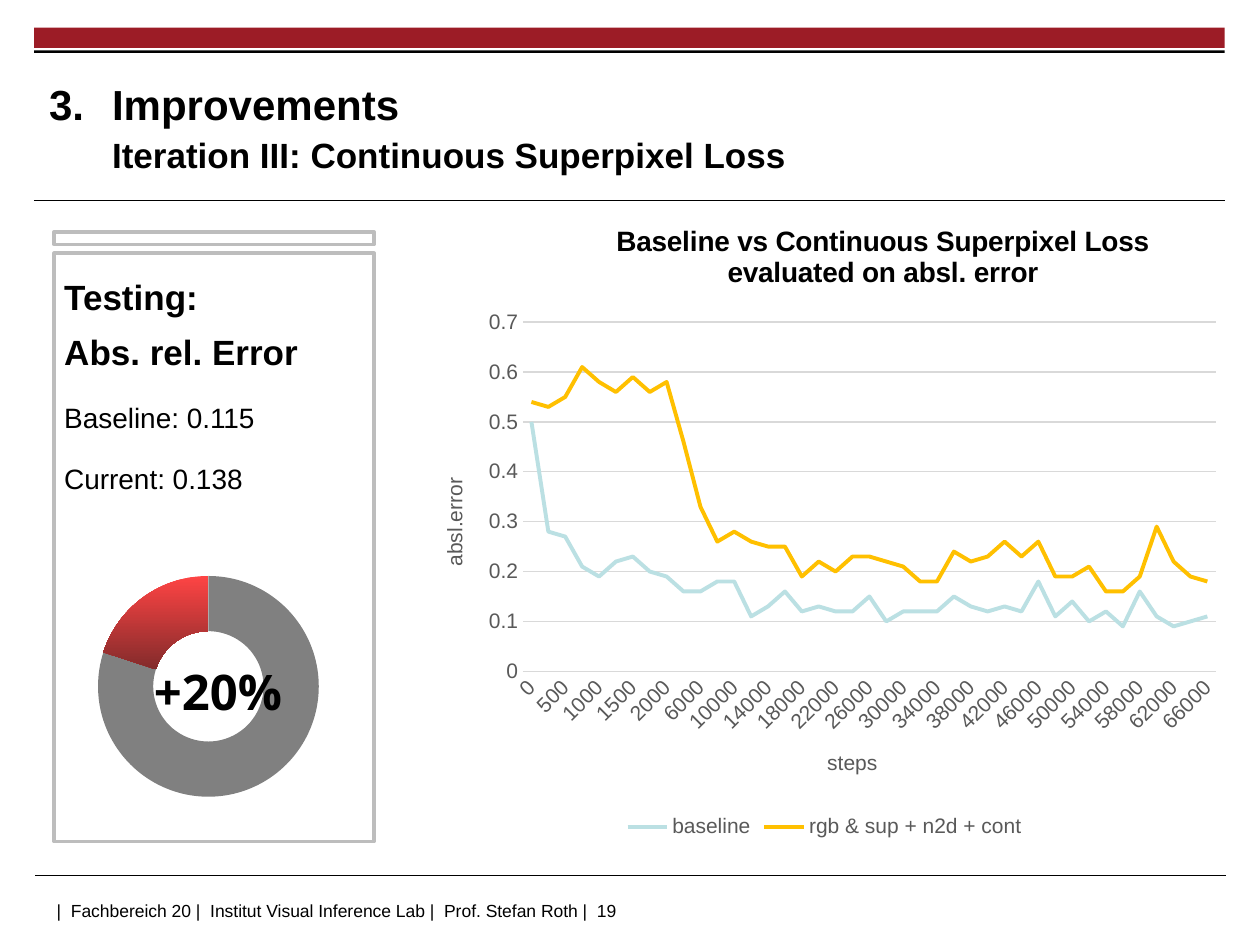
from lxml import etree
from pptx import Presentation
from pptx import util as u
from pptx.chart.data import CategoryChartData
from pptx.dml.color import RGBColor
from pptx.enum import chart as ch, shapes, text
from pptx.oxml import parse_xml
from pptx.oxml.ns import nsdecls, qn

Inches, Pt = u.Inches, u.Pt
hues = {"red": "9C1C26", "black": "000000", "white": "FFFFFF", "frame": "BDBDBD",
        "ring": "808080", "hot": "FE4444", "dark": "832B2B", "label": "595959",
        "grid": "D9D9D9", "base": "BBE0E3", "cont": "FFC000"}
rgb = {name: RGBColor.from_string(code) for name, code in hues.items()}

deck = Presentation()
deck.slide_width, deck.slide_height = Inches(10), Inches(7.5)
slide = deck.slides.add_slide(deck.slide_layouts[6])


def style(font, size, hue="black", bold=False, face="Arial"):
    font.name, font.size, font.bold = face, Pt(size), bold
    font.color.rgb = rgb[hue]


def place(x, y, w=None, h=None):
    size = f'<c:w val="{w}"/><c:h val="{h}"/>' if w else ""
    inner = '<c:layoutTarget val="inner"/>' if w else ""
    return parse_xml(
        f'<c:layout {nsdecls("c")}><c:manualLayout>{inner}<c:xMode val="edge"/>'
        f'<c:yMode val="edge"/><c:x val="{x}"/><c:y val="{y}"/>{size}'
        '</c:manualLayout></c:layout>')


for x, y, w, h, fill, edge in [
        (0.27, 0.22, 9.45, 0.16, "red", None),
        (0.27, 0.4, 9.45, 0.02, "black", None),
        (0.43, 2.01, 2.54, 4.67, "white", "frame"),
        (0.43, 1.84, 2.54, 0.1, "white", "frame")]:
    bar = slide.shapes.add_shape(shapes.MSO_SHAPE.RECTANGLE,
                                 Inches(x), Inches(y), Inches(w), Inches(h))
    bar.shadow.inherit = False
    bar.fill.solid()
    bar.fill.fore_color.rgb = rgb[fill]
    if edge:
        bar.line.color.rgb = rgb[edge]
        bar.line.width = Pt(2)
    else:
        bar.line.fill.background()

for x, y in [(0.27, 1.59), (0.28, 6.95)]:
    rule = slide.shapes.add_connector(shapes.MSO_CONNECTOR.STRAIGHT,
                                      Inches(x), Inches(y), Inches(x + 9.45), Inches(y))
    rule.line.color.rgb = rgb["black"]
    rule.line.width = Pt(0.6)
    etree.SubElement(rule._element.spPr, qn("a:effectLst"))

data = CategoryChartData()
data.categories = ["1", "2"]
data.add_series("Series 1", [80, 20])
ring = slide.shapes.add_chart(ch.XL_CHART_TYPE.DOUGHNUT, Inches(0.27), Inches(4.13),
                              Inches(2.54), Inches(2.56), data).chart
ring.has_legend = ring.has_title = False
style(ring.font, 10)
plot = ring.plots[0]
plot.vary_by_categories = False
plot._element.find(qn("c:holeSize")).set("val", "80")
area = ring._chartSpace.chart.plotArea
for old in area.findall(qn("c:layout")):
    area.remove(old)
area.insert(0, place(0.2, 0.08, 0.69, 0.87))
rest, gain = [plot.series[0].points[i].format for i in range(2)]
rest.fill.solid()
rest.fill.fore_color.rgb = rgb["ring"]
gain.fill.gradient()
gain.fill.gradient_angle = 270
for stop, hue in zip(gain.fill.gradient_stops, ["hot", "dark"]):
    stop.color.rgb = rgb[hue]
for part in (rest, gain):
    part.line.fill.background()

steps = [*range(0, 2000, 250), *range(2000, 66001, 2000)]
runs = [
    ("baseline", "base",
     [0.5, 0.28, 0.27, 0.21, 0.19, 0.22, 0.23, 0.2, 0.19, 0.16, 0.16, 0.18, 0.18, 0.11,
      0.13, 0.16, 0.12, 0.13, 0.12, 0.12, 0.15, 0.1, 0.12, 0.12, 0.12, 0.15, 0.13, 0.12,
      0.13, 0.12, 0.18, 0.11, 0.14, 0.1, 0.12, 0.09, 0.16, 0.11, 0.09, 0.1, 0.11]),
    ("rgb & sup + n2d + cont", "cont",
     [0.54, 0.53, 0.55, 0.61, 0.58, 0.56, 0.59, 0.56, 0.58, 0.46, 0.33, 0.26, 0.28, 0.26,
      0.25, 0.25, 0.19, 0.22, 0.2, 0.23, 0.23, 0.22, 0.21, 0.18, 0.18, 0.24, 0.22, 0.23,
      0.26, 0.23, 0.26, 0.19, 0.19, 0.21, 0.16, 0.16, 0.19, 0.29, 0.22, 0.19, 0.18])]
data = CategoryChartData()
data.categories = [str(step) for step in steps]
for name, hue, vals in runs:
    data.add_series(name, vals)
graph = slide.shapes.add_chart(ch.XL_CHART_TYPE.LINE, Inches(3.31), Inches(1.65),
                               Inches(6.47), Inches(5.04), data).chart
style(graph.font, 12)
graph.has_title = True
head = graph.chart_title
head.text_frame.text = "Baseline vs Continuous Superpixel Loss\nevaluated on absl. error"
for para in head.text_frame.paragraphs:
    style(para.font, 16, bold=True)
for old in head._element.findall(qn("c:layout")):
    head._element.remove(old)
head._element.find(qn("c:tx")).addnext(place(0.24, 0.02))
area = graph._chartSpace.chart.plotArea
for old in area.findall(qn("c:layout")):
    area.remove(old)
area.insert(0, place(0.13, 0.18, 0.85, 0.55))
graph.has_legend = True
graph.legend.position = ch.XL_LEGEND_POSITION.BOTTOM
graph.legend.include_in_layout = False
style(graph.legend.font, 12, "label")
for axis, name in [(graph.category_axis, "steps"), (graph.value_axis, "absl.error")]:
    axis.axis_title.text_frame.text = name
    style(axis.axis_title.text_frame.paragraphs[0].font, 12, "label")
    style(axis.tick_labels.font, 12, "label")
    axis.major_tick_mark = axis.minor_tick_mark = ch.XL_TICK_MARK.NONE
across, up = graph.category_axis, graph.value_axis
across._element.find(qn("c:txPr")).find(qn("a:bodyPr")).set("rot", "-2700000")
up.minimum_scale, up.maximum_scale, up.major_unit = 0, 0.7, 0.1
up.tick_labels.number_format = "General"
up.tick_labels.number_format_is_linked = False
up.format.line.fill.background()
for line in (across.format.line, up.major_gridlines.format.line):
    line.color.rgb = rgb["grid"]
    line.width = Pt(0.75)
for series, (name, hue, vals) in zip(graph.plots[0].series, runs):
    series.smooth = False
    series.marker.style = ch.XL_MARKER_STYLE.NONE
    series.format.line.color.rgb = rgb[hue]
    series.format.line.width = Pt(2.25)


def write(spot, pads, anchor, lines):
    box = slide.shapes.add_textbox(*map(Inches, spot))
    frame = box.text_frame
    frame.word_wrap = True
    frame.vertical_anchor = anchor
    (frame.margin_left, frame.margin_top,
     frame.margin_right, frame.margin_bottom) = map(Inches, pads)
    frame.text = "\n".join(lines)
    return frame.paragraphs


mid, top = text.MSO_ANCHOR.MIDDLE, text.MSO_ANCHOR.TOP
title, = write((0.39, 0.53, 7.26, 0.92), (0, 0, 0, 0), mid,
               ["Improvements\vIteration III: Continuous Superpixel Loss"])
props = title._p.get_or_add_pPr()
props.set("marL", str(Inches(0.5)))
props.set("indent", str(Inches(-0.5)))
etree.SubElement(props, qn("a:buAutoNum"), type="arabicPeriod", startAt="3")
title.line_spacing = 1.1
for run, size in zip(title.runs, [24, 20]):
    style(run.font, size, bold=True)

share, = write((0.98, 5.12, 1.5, 0.57), (0.1, 0, 0.1, 0.05), mid, ["+20%"])
share.alignment = text.PP_ALIGN.CENTER
share.line_spacing = 1.45
style(share.font, 28, bold=True, face="Open Sans")

tests = write((0.51, 2.05, 2.45, 1.93), (0, 0.04, 0.24, 0.04), top,
              ["Testing:\vAbs. rel. Error", "Baseline: 0.115", "Current: 0.138"])
for i, para in enumerate(tests):
    para.line_spacing = 1.3
    if i:
        para.space_before = Pt(10)
    style(para.font, 16 if i else 20, bold=not i)

foot, = write((0.28, 7.1, 7.88, 0.25), (0.17, 0, 0.1, 0), mid,
              ["|  Fachbereich 20 |  Institut Visual Inference Lab |  Prof. Stefan Roth |  19"])
style(foot.font, 10)

deck.save("out.pptx")
